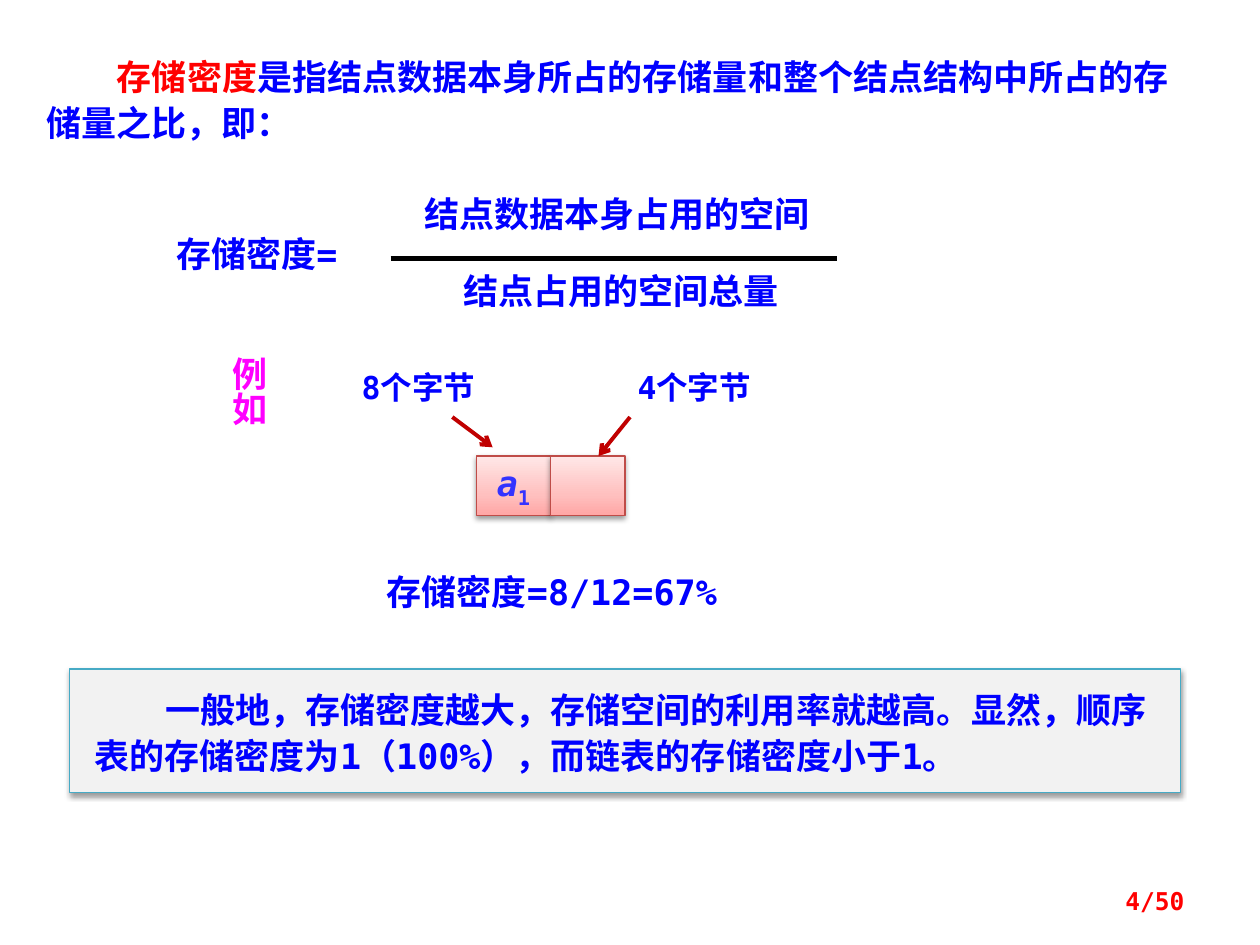
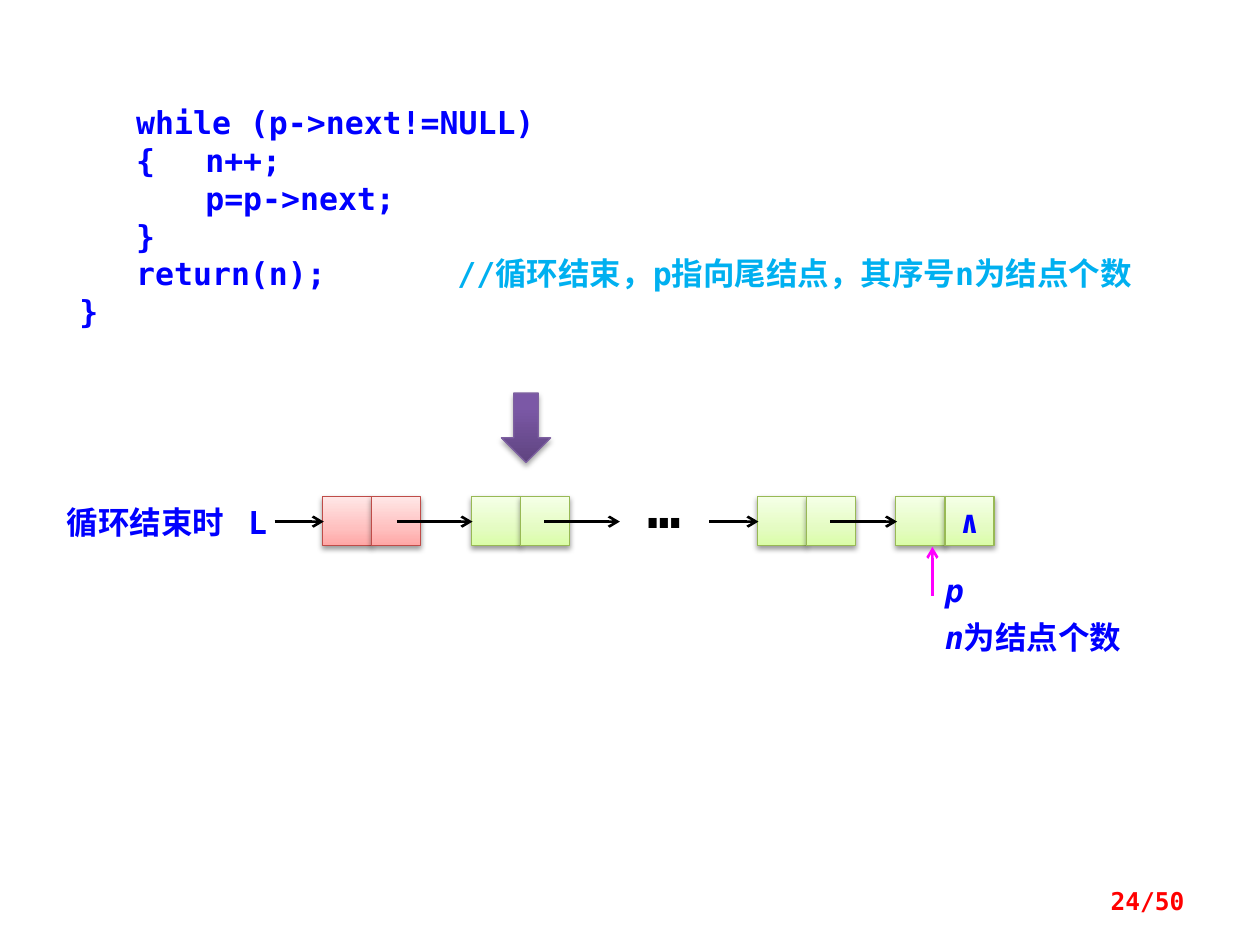
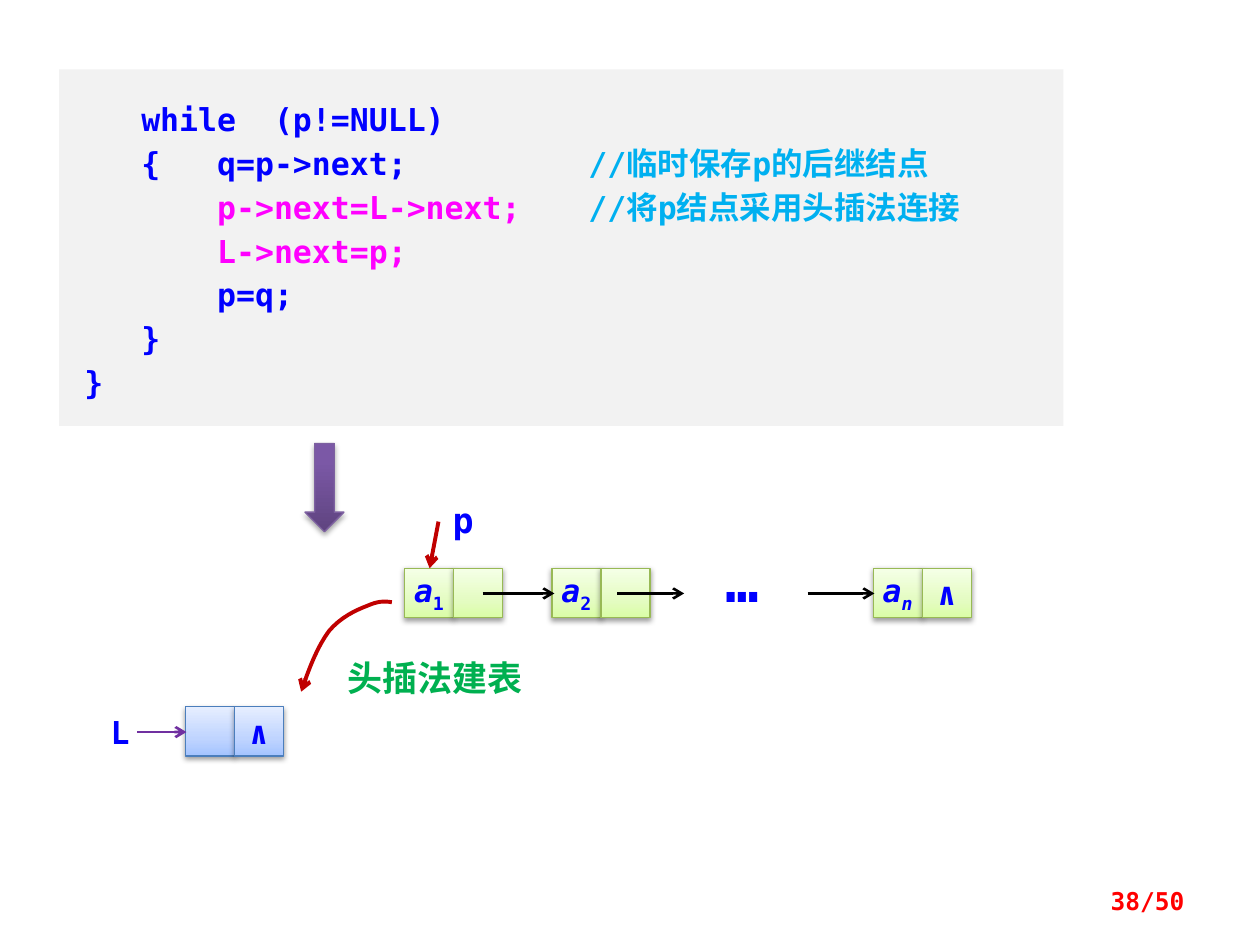
"""Three lecture slides on linked lists: storage density, counting nodes and head insertion."""
import copy

import pptx
import pptx.dml.color
import pptx.enum.shapes
import pptx.enum.text
import pptx.oxml
import pptx.oxml.ns
import pptx.util

Inches = pptx.util.Inches
Pt = pptx.util.Pt
RGBColor = pptx.dml.color.RGBColor
MSO_SHAPE = pptx.enum.shapes.MSO_SHAPE
PP_ALIGN = pptx.enum.text.PP_ALIGN
MSO_ANCHOR = pptx.enum.text.MSO_ANCHOR
qn = pptx.oxml.ns.qn

MONO = "DejaVu Sans Mono"
CJK = "Noto Sans CJK SC"
BLUE = RGBColor(0x00, 0x00, 0xFF)
INDIGO = RGBColor(0x33, 0x33, 0xFF)
RED = RGBColor(0xFF, 0x00, 0x00)
DARK_RED = RGBColor(0xC0, 0x00, 0x00)
MAGENTA = RGBColor(0xFF, 0x00, 0xFF)
CYAN = RGBColor(0x00, 0xB0, 0xF0)
GREEN = RGBColor(0x00, 0xB0, 0x50)
PURPLE = RGBColor(0x70, 0x30, 0xA0)
BLACK = RGBColor(0x00, 0x00, 0x00)
WHITE = RGBColor(0xFF, 0xFF, 0xFF)
PANEL = RGBColor(0xF2, 0xF2, 0xF2)
TEAL = RGBColor(0x46, 0xAA, 0xC5)
PINK_EDGE = RGBColor(0xBF, 0x4C, 0x48)
LIME_EDGE = RGBColor(0x98, 0xB9, 0x55)
SKY_EDGE = RGBColor(0x4B, 0x7E, 0xBC)
VIOLET_EDGE = RGBColor(0x7D, 0x60, 0xA0)
PINK = [RGBColor(0xFF, 0xA6, 0xA5), RGBColor(0xFF, 0xC0, 0xBF), RGBColor(0xFF, 0xE7, 0xE7)]
LIME = [RGBColor(0xDA, 0xFD, 0xA7), RGBColor(0xE4, 0xFC, 0xC2), RGBColor(0xF5, 0xFF, 0xE7)]
SKY = [RGBColor(0xA4, 0xC4, 0xFF), RGBColor(0xBF, 0xD4, 0xFF), RGBColor(0xE6, 0xEE, 0xFF)]
VIOLET = [RGBColor(0x5F, 0x44, 0x80), RGBColor(0x7B, 0x58, 0xA6), RGBColor(0x7C, 0x57, 0xA8)]


def write(sp, size, paragraphs, align=PP_ALIGN.LEFT, anchor=MSO_ANCHOR.TOP, wrap=True):
    """Fill a shape with paragraphs of (text, colour, style) runs."""
    tf = sp.text_frame
    tf.word_wrap = wrap
    tf.vertical_anchor = anchor
    for i, runs in enumerate(paragraphs):
        p = tf.paragraphs[0] if i == 0 else tf.add_paragraph()
        p.alignment = align
        for text, color, style in runs:
            r = p.add_run()
            r.text = text
            r.font.size = Pt(size)
            r.font.bold = True
            r.font.italic = "i" in style
            r.font.name = MONO
            r.font.color.rgb = color
            rPr = r._r.get_or_add_rPr()
            rPr.find(qn("a:latin")).addnext(rPr.makeelement(qn("a:ea"), {"typeface": CJK}))
            if "sub" in style:
                rPr.set("baseline", "-25000")
    return tf


def decorate(sp, edge, stops=None, middle=35, alpha=38, distance=1.6):
    """Give a shape its edge, soft shadow and optional vertical gradient."""
    sp.line.color.rgb = edge
    sp.line.width = Pt(0.75)
    if stops:
        sp.fill.gradient()
        sp.fill.gradient_angle = 90
        gs = sp._element.spPr.find(".//" + qn("a:gsLst"))
        gs.insert(1, copy.deepcopy(gs[0]))
        for stop, position, color in zip(sp.fill.gradient_stops, (0, middle, 100), stops):
            stop.position = position / 100
            stop.color.rgb = color
    sp.shadow.inherit = False
    sp._element.spPr.find(qn("a:effectLst")).append(pptx.oxml.parse_xml(
        f'<a:outerShdw {pptx.oxml.ns.nsdecls("a")} blurRad="{Pt(3.1)}" dist="{Pt(distance)}" '
        f'dir="5400000" rotWithShape="0"><a:srgbClr val="000000">'
        f'<a:alpha val="{alpha * 1000}"/></a:srgbClr></a:outerShdw>'))


prs = pptx.Presentation()
prs.slide_width = Inches(10)
prs.slide_height = Inches(7.5)
density, count, insertion = [prs.slides.add_slide(prs.slide_layouts[6]) for _ in range(3)]

callout = density.shapes.add_shape(
    MSO_SHAPE.RECTANGLE, Inches(0.55), Inches(5.31), Inches(8.82), Inches(0.98))
callout.fill.solid()
callout.fill.fore_color.rgb = PANEL
decorate(callout, TEAL)
definition = density.shapes.add_textbox(Inches(0.27), Inches(0.36), Inches(9.29), Inches(0.82))
prose = [
    (definition, 0.1, 0.05, [
        ("存储密度", RED, ""),
        ("是指结点数据本身所占的存储量和整个结点结构中所占的存储量之比，即：", BLUE, "")]),
    (callout, 0.2, 0.12, [
        ("一般地，存储密度越大，存储空间的利用率就越高。显然，"
         "顺序表的存储密度为1（100%），而链表的存储密度小于1。", BLUE, "")]),
]
for sp, left, top, runs in prose:
    tf = write(sp, 20, [runs])
    tf.margin_left = Inches(left)
    tf.margin_top = tf.margin_bottom = Inches(top)
    p = tf.paragraphs[0]
    p.line_spacing = 1.1
    p._p.get_or_add_pPr().set("indent", str(Inches(0.56)))

counting_code = [
    [("   while (p->next!=NULL)", BLUE, "")],
    [("   {\tn++;", BLUE, "")],
    [("\tp=p->next;", BLUE, "")],
    [("   }", BLUE, "")],
    [("   return(n);\t\t", BLUE, ""), ("//循环结束，p指向尾结点，其序号n为结点个数", CYAN, "")],
    [("}", BLUE, "")],
]
insertion_code = [
    [("   while  (p!=NULL)", BLUE, "")],
    [("   {   q=p->next;\t\t", BLUE, ""), ("//临时保存p的后继结点", CYAN, "")],
    [("       ", BLUE, ""), ("p->next=L->next;\t", MAGENTA, ""),
     ("//将p结点采用头插法连接", CYAN, "")],
    [("       L->next=p;", MAGENTA, "")],
    [("       p=q;", BLUE, "")],
    [("   }", BLUE, "")],
    [("}", BLUE, "")],
]
for s, y, w, h, fill, left, right, top, spacing, code in [
    (count, 0.7, 9.06, 2.06, WHITE, 0.16, 0.16, 0.12, None, counting_code),
    (insertion, 0.55, 7.97, 2.83, PANEL, 0.2, 0.1, 0.2, Pt(25), insertion_code),
]:
    sp = s.shapes.add_shape(
        MSO_SHAPE.RECTANGLE, Inches(0.47), Inches(y), Inches(w), Inches(h))
    sp.shadow.inherit = False
    sp.fill.solid()
    sp.fill.fore_color.rgb = fill
    sp.line.fill.background()
    tf = write(sp, 18, code)
    tf.margin_left = Inches(left)
    tf.margin_right = Inches(right)
    tf.margin_top = tf.margin_bottom = Inches(top)
    for p in tf.paragraphs:
        p.line_spacing = spacing
        pPr = p._p.get_or_add_pPr()
        tabs = pPr.makeelement(qn("a:tabLst"), {})
        pPr.append(tabs)
        for inch in range(1, 5):
            tabs.append(tabs.makeelement(qn("a:tab"), {"pos": str(Inches(inch)), "algn": "l"}))

end_mark = [("∧", BLUE, "")]
nodes = [
    (density, 3.78, 3.62, 0.59, 0.47, 20, PINK, PINK_EDGE,
     [("a", INDIGO, "i"), ("1", INDIGO, "sub")], []),
    (count, 2.56, 3.94, 0.39, 0.39, 18, PINK, PINK_EDGE, [], []),
    (count, 3.74, 3.94, 0.39, 0.39, 18, LIME, LIME_EDGE, [], []),
    (count, 6.01, 3.94, 0.39, 0.39, 18, LIME, LIME_EDGE, [], []),
    (count, 7.11, 3.94, 0.39, 0.39, 18, LIME, LIME_EDGE, [], end_mark),
    (insertion, 1.47, 5.61, 0.39, 0.39, 18, SKY, SKY_EDGE, [], end_mark),
    (insertion, 3.21, 4.51, 0.39, 0.39, 18, LIME, LIME_EDGE,
     [("a", BLUE, "i"), ("1", BLUE, "sub")], []),
    (insertion, 4.38, 4.51, 0.39, 0.39, 18, LIME, LIME_EDGE,
     [("a", BLUE, "i"), ("2", BLUE, "sub")], []),
    (insertion, 6.93, 4.51, 0.39, 0.39, 18, LIME, LIME_EDGE,
     [("a", BLUE, "i"), ("n", BLUE, "i sub")], end_mark),
]
for s, x, y, w, h, size, stops, edge, data, link in nodes:
    for i, runs in enumerate((data, link)):
        sp = s.shapes.add_shape(
            MSO_SHAPE.RECTANGLE, Inches(x + i * w), Inches(y), Inches(w), Inches(h))
        decorate(sp, edge, stops)
        if runs:
            write(sp, size, [runs], PP_ALIGN.CENTER, MSO_ANCHOR.MIDDLE, False)

for s, x, y, w, h in [(count, 3.98, 3.12, 0.39, 0.55), (insertion, 2.42, 3.52, 0.31, 0.7)]:
    sp = s.shapes.add_shape(MSO_SHAPE.DOWN_ARROW, Inches(x), Inches(y), Inches(w), Inches(h))
    decorate(sp, VIOLET_EDGE, VIOLET, 80, 35, 1.8)

lines = [
    (density, 3.1, 2.05, 6.64, 2.05, BLACK, 3, False),
    (density, 3.59, 3.31, 3.91, 3.55, DARK_RED, 2.25, True),
    (density, 5, 3.31, 4.75, 3.62, DARK_RED, 2.25, True),
    (count, 7.4, 4.73, 7.4, 4.34, MAGENTA, 1.5, True),
    (insertion, 1.09, 5.81, 1.48, 5.81, PURPLE, 1.5, True),
    (insertion, 3.48, 4.14, 3.41, 4.51, DARK_RED, 2.25, True),
]
for s, y, spans in [
    (count, 4.14, [(2.18, 2.57), (3.15, 3.75), (4.32, 4.92), (5.63, 6.02), (6.59, 7.12)]),
    (insertion, 4.71, [(3.83, 4.4), (4.9, 5.43), (6.41, 6.94)]),
]:
    lines += [(s, x1, y, x2, y, BLACK, 1.5, True) for x1, x2 in spans]
for s, x1, y1, x2, y2, color, width, head in lines:
    sp = s.shapes.add_connector(
        pptx.enum.shapes.MSO_CONNECTOR.STRAIGHT, Inches(x1), Inches(y1), Inches(x2), Inches(y2))
    sp.line.color.rgb = color
    sp.line.width = Pt(width)
    spPr = sp._element.spPr
    if head:
        ln = sp.line._get_or_add_ln()
        ln.append(ln.makeelement(qn("a:tailEnd"), {"type": "arrow"}))
    spPr.append(spPr.makeelement(qn("a:effectLst"), {}))

bends = [
    [(3.11, 4.78), (3.05, 4.77), (3, 4.77), (2.91, 4.81)],
    [(2.91, 4.81), (2.83, 4.84), (2.7, 4.9), (2.61, 5.01)],
    [(2.61, 5.01), (2.52, 5.13), (2.45, 5.31), (2.39, 5.49)],
]
points = []
for bend in bends:
    for t in [step / 8 for step in range(1, 9)]:
        weights = ((1 - t) ** 3, 3 * t * (1 - t) ** 2, 3 * t * t * (1 - t), t ** 3)
        points.append(tuple(
            Inches(sum(k * pt[axis] for k, pt in zip(weights, bend))) for axis in (0, 1)))
builder = insertion.shapes.build_freeform(Inches(3.11), Inches(4.78))
builder.add_line_segments(points, close=False)
curve = builder.convert_to_shape()
curve.fill.background()
curve.line.color.rgb = DARK_RED
curve.line.width = Pt(2.25)
curve.shadow.inherit = False
ln = curve.line._get_or_add_ln()
ln.append(ln.makeelement(qn("a:tailEnd"), {"type": "arrow"}))

labels = [
    (density, 1.3, 1.8, 2.13, 0.44, 20, BLUE, PP_ALIGN.LEFT, "存储密度="),
    (density, 3.27, 1.48, 4.17, 0.44, 20, BLUE, PP_ALIGN.LEFT, "结点数据本身占用的空间"),
    (density, 3.58, 2.09, 3.54, 0.44, 20, BLUE, PP_ALIGN.LEFT, "结点占用的空间总量"),
    (density, 2.58, 2.87, 1.48, 0.4, 18, BLUE, PP_ALIGN.CENTER, "8个字节"),
    (density, 4.77, 2.87, 1.48, 0.4, 18, BLUE, PP_ALIGN.CENTER, "4个字节"),
    (density, 2.97, 4.48, 3.05, 0.44, 20, BLUE, PP_ALIGN.LEFT, "存储密度=8/12=67%"),
    (count, 0.43, 3.94, 1.65, 0.4, 18, BLUE, PP_ALIGN.LEFT, "循环结束时"),
    (count, 1.87, 3.94, 0.29, 0.4, 18, BLUE, PP_ALIGN.LEFT, "L"),
    (count, 5.04, 3.7, 0.47, 0.63, 32, BLACK, PP_ALIGN.LEFT, "…"),
    (insertion, 0.78, 5.61, 0.29, 0.4, 18, BLUE, PP_ALIGN.LEFT, "L"),
    (insertion, 5.66, 4.29, 0.79, 0.63, 32, BLUE, PP_ALIGN.LEFT, "…"),
    (insertion, 3.4, 3.91, 0.55, 0.44, 20, BLUE, PP_ALIGN.CENTER, "p"),
    (insertion, 2.66, 5.16, 2.05, 0.43, 20, GREEN, PP_ALIGN.LEFT, "头插法建表"),
]
for s, x, y, w, h, size, color, align, text in labels:
    sp = s.shapes.add_textbox(Inches(x), Inches(y), Inches(w), Inches(h))
    write(sp, size, [[(text, color, "")]], align)

example = density.shapes.add_textbox(Inches(1.65), Inches(2.73), Inches(0.54), Inches(1.02))
tf = write(example, 20, [[("例如", MAGENTA, "")]], PP_ALIGN.CENTER)
tf._txBody.bodyPr.set("vert", "eaVert")

result = count.shapes.add_textbox(Inches(7.4), Inches(4.53), Inches(1.99), Inches(0.76))
tf = write(result, 18, [[("p", BLUE, "i")], [("n", BLUE, "i"), ("为结点个数", BLUE, "")]])
for p in tf.paragraphs:
    p.line_spacing = Pt(18)
tf.paragraphs[1].space_before = Pt(9)

for s, number in [(density, 4), (count, 24), (insertion, 38)]:
    sp = s.shapes.add_textbox(Inches(7.17), Inches(6.95), Inches(2.33), Inches(0.4))
    write(sp, 14, [[(f"{number}/50", RED, "")]], PP_ALIGN.RIGHT, MSO_ANCHOR.MIDDLE)

prs.save("out.pptx")
